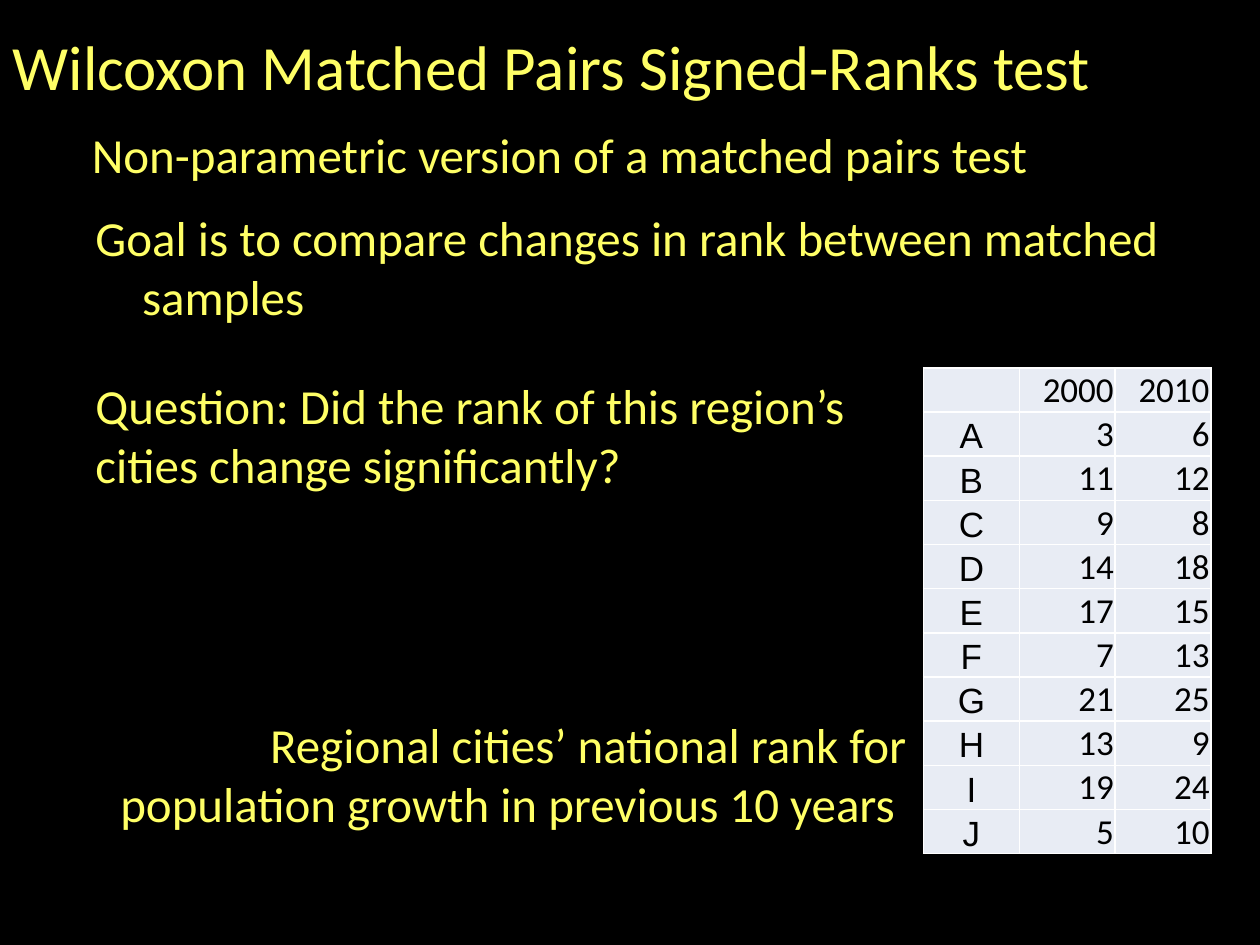
from lxml.etree import SubElement
from pptx import Presentation
from pptx.dml.color import RGBColor
from pptx.enum.text import MSO_ANCHOR, MSO_AUTO_SIZE, PP_ALIGN
from pptx.oxml.ns import qn
from pptx.util import Inches, Pt

YELLOW, BLACK, WHITE, PALE_BLUE = "FFFF66", "000000", "FFFFFF", "E8ECF4"
LEFT_EDGE = 0.66
COLUMN_WIDTH, ROW_HEIGHT = 0.76, 0.35
RANKS = [
    ("", "2000", "2010"),
    ("A", "3", "6"),
    ("B", "11", "12"),
    ("C", "9", "8"),
    ("D", "14", "18"),
    ("E", "17", "15"),
    ("F", "7", "13"),
    ("G", "21", "25"),
    ("H", "13", "9"),
    ("I", "19", "24"),
    ("J", "5", "10"),
]


def set_color(color_format, hex_color):
    color_format.rgb = RGBColor.from_string(hex_color)


def fill_solid(fill, hex_color):
    fill.solid()
    set_color(fill.fore_color, hex_color)


def add_run(paragraph, text, size, color, font="Calibri"):
    run = paragraph.add_run()
    run.text = text
    run.font.size = Pt(size)
    run.font.name = font
    set_color(run.font.color, color)


def write_text(shape, text, size, align=PP_ALIGN.LEFT):
    """Put one yellow paragraph at the top of a shape and return it."""
    frame = shape.text_frame
    frame.word_wrap = True
    frame.auto_size = MSO_AUTO_SIZE.NONE
    frame.vertical_anchor = MSO_ANCHOR.TOP
    paragraph = frame.paragraphs[0]
    paragraph.alignment = align
    add_run(paragraph, text, size, YELLOW)
    return paragraph


def add_body_text(slide, box, text, align=PP_ALIGN.LEFT):
    shape = slide.shapes.add_textbox(*map(Inches, box))
    return write_text(shape, text, 28, align)


def add_title(slide, box, text):
    title = slide.shapes.title
    title.left, title.top, title.width, title.height = map(Inches, box)
    write_text(title, text, 36)


def set_hanging_indent(paragraph, inches):
    properties = paragraph._p.get_or_add_pPr()
    properties.set("marL", str(Inches(inches)))
    properties.set("indent", str(-Inches(inches)))


def add_borders(cell, hex_color, points):
    properties = cell._tc.get_or_add_tcPr()
    for position, side in enumerate(("a:lnL", "a:lnR", "a:lnT", "a:lnB")):
        line = SubElement(properties, qn(side), w=str(Pt(points)))
        fill = SubElement(line, qn("a:solidFill"))
        SubElement(fill, qn("a:srgbClr"), val=hex_color)
        properties.insert(position, line)


def format_cell(cell, text, is_city):
    cell.margin_left = cell.margin_right = cell.margin_top = Inches(0.01)
    cell.margin_bottom = 0
    cell.vertical_anchor = MSO_ANCHOR.BOTTOM
    fill_solid(cell.fill, PALE_BLUE)
    add_borders(cell, WHITE, 1)
    if text:
        paragraph = cell.text_frame.paragraphs[0]
        paragraph.alignment = PP_ALIGN.CENTER if is_city else PP_ALIGN.RIGHT
        add_run(paragraph, text, 20, BLACK, "Arial" if is_city else "Calibri")


def add_rank_table(slide, left, top):
    row_count, column_count = len(RANKS), len(RANKS[0])
    table = slide.shapes.add_table(
        row_count, column_count, Inches(left), Inches(top),
        Inches(column_count * COLUMN_WIDTH), Inches(row_count * ROW_HEIGHT),
    ).table
    table.first_row = table.horz_banding = False
    for column in table.columns:
        column.width = Inches(COLUMN_WIDTH)
    for row, values in zip(table.rows, RANKS):
        row.height = Inches(ROW_HEIGHT)
        for index, (cell, text) in enumerate(zip(row.cells, values)):
            format_cell(cell, text, is_city=index == 0)


def main():
    presentation = Presentation()
    presentation.slide_width, presentation.slide_height = Inches(10), Inches(7.5)
    slide = presentation.slides.add_slide(presentation.slide_layouts.get_by_name("Title Only"))
    fill_solid(slide.background.fill, BLACK)

    add_title(slide, (0, 0.17, 9.94, 0.77), "Wilcoxon Matched Pairs Signed-Ranks test")
    add_body_text(slide, (0.63, 0.94, 9.32, 0.64),
                  "Non-parametric version of a matched pairs test")
    goal = add_body_text(slide, (LEFT_EDGE, 1.6, 8.83, 1.18),
                         "Goal is to compare changes in rank between matched samples")
    set_hanging_indent(goal, 0.37)
    add_rank_table(slide, 7.33, 2.92)
    add_body_text(slide, (0.75, 5.62, 6.54, 1.04),
                  "Regional cities’ national rank for population growth in previous 10 years ",
                  PP_ALIGN.RIGHT)
    add_body_text(slide, (LEFT_EDGE, 2.93, 6.54, 0.64),
                  "Question: Did the rank of this region’s cities change significantly?")
    presentation.save("out.pptx")


if __name__ == "__main__":
    main()
